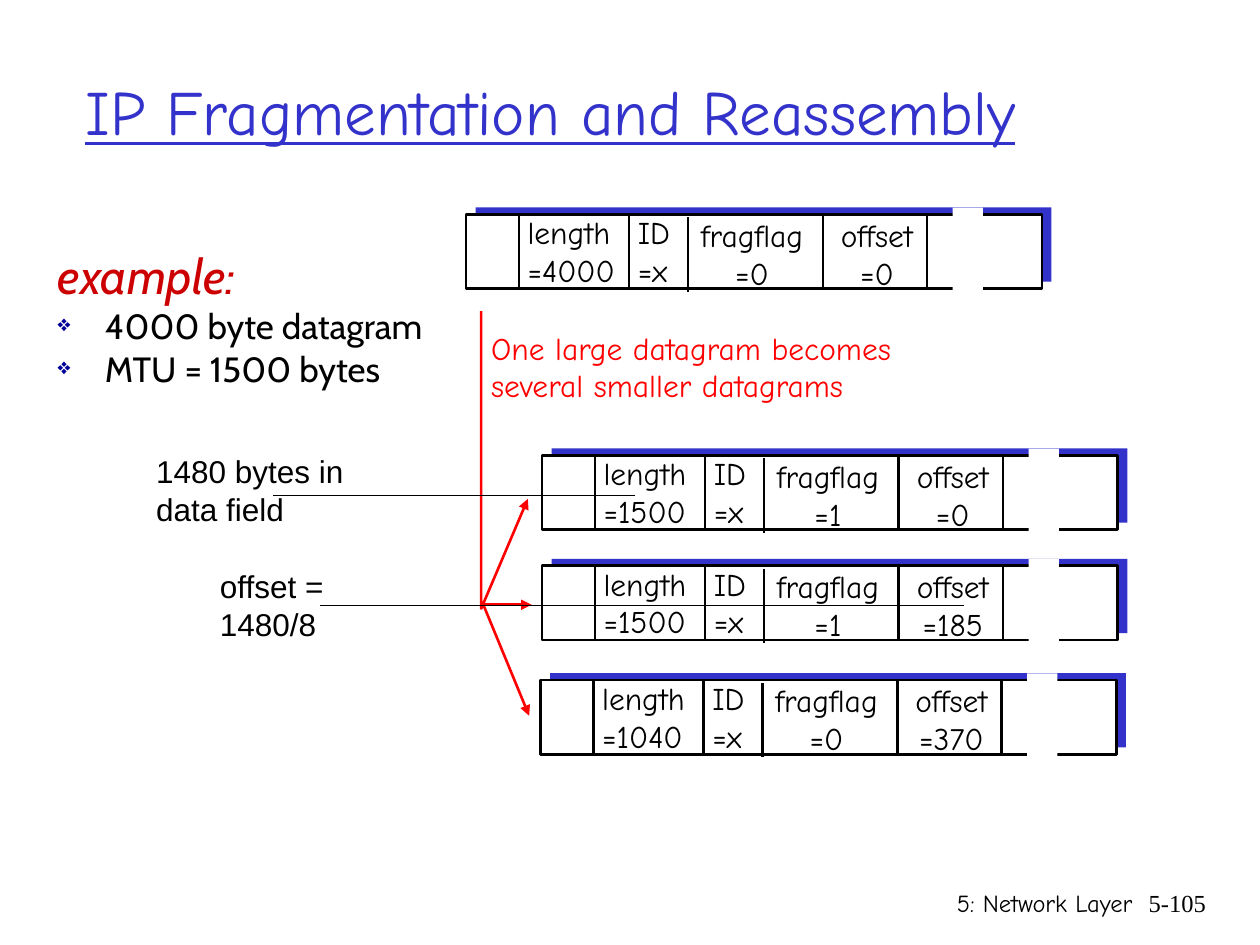
"""Build the IP fragmentation and reassembly slide."""
from lxml.etree import SubElement
from pptx import Presentation
from pptx.dml.color import RGBColor
from pptx.enum.shapes import MSO_CONNECTOR as CONNECTOR, MSO_SHAPE as SHAPE
from pptx.enum.text import MSO_ANCHOR as ANCHOR, MSO_AUTO_SIZE as AUTO_SIZE, PP_ALIGN as ALIGN
from pptx.oxml.ns import qn
from pptx.util import Pt

BLUE = RGBColor(0x33, 0x33, 0xCC)
BLACK = RGBColor(0, 0, 0)
WHITE = RGBColor(0xFF, 0xFF, 0xFF)
RED = RGBColor(0xFF, 0, 0)
DARK_RED = RGBColor(0xCC, 0, 0)
HAND, SANS, BODY, SERIF = "Comic Neue", "Arial", "Cabin", "Times New Roman"


def write_text(shapes, paragraphs, left, top, width, height, size=18, font=HAND, color=BLACK,
               align=ALIGN.LEFT, anchor=ANCHOR.TOP, wrap=False, underline=None):
    box = shapes.add_textbox(Pt(left), Pt(top), Pt(width), Pt(height))
    frame = box.text_frame
    frame.word_wrap = wrap
    frame.auto_size = AUTO_SIZE.NONE if wrap else AUTO_SIZE.SHAPE_TO_FIT_TEXT
    frame.vertical_anchor = anchor
    for index, text in enumerate(paragraphs):
        paragraph = frame.paragraphs[0] if index == 0 else frame.add_paragraph()
        paragraph.text = text
        paragraph.alignment = align
        for run in paragraph.runs:
            run.font.size = Pt(size)
            run.font.name = font
            run.font.color.rgb = color
            run.font.underline = underline
    return frame


def style_line(stroke, color=BLACK, width=1.5, arrow=False):
    stroke.line.color.rgb = color
    stroke.line.width = Pt(width)
    properties = stroke.element.spPr
    if arrow:
        SubElement(properties.find(qn("a:ln")), qn("a:tailEnd"), type="triangle")
    SubElement(properties, qn("a:effectLst"))


presentation = Presentation()
presentation.slide_width, presentation.slide_height = Pt(720), Pt(540)
slide = presentation.slides.add_slide(presentation.slide_layouts[6])
canvas = slide.shapes

write_text(canvas, ["IP Fragmentation and Reassembly"], 41.76, 18, 612, 90, size=36,
           color=BLUE, anchor=ANCHOR.MIDDLE, wrap=True, underline=True)

datagrams = [
    (266.4, 122.5, "=4000", "=0", "=0"),
    (309.8, 260.2, "=1500", "=1", "=0"),
    (309.8, 323.3, "=1500", "=1", "=185"),
    (309, 388.6, "=1040", "=0", "=370"),
]
for left, top, length, fragflag, offset in datagrams:
    header = canvas.add_group_shape().shapes
    panels = [(5.4, -4, 329, 42.5, BLUE), (0, 0, 329, 42.5, WHITE), (278, -3.8, 17.3, 47.5, WHITE)]
    for index, (dx, dy, width, height, fill) in enumerate(panels):
        panel = header.add_shape(SHAPE.RECTANGLE, Pt(left + dx), Pt(top + dy), Pt(width), Pt(height))
        panel.fill.solid()
        panel.fill.fore_color.rgb = fill
        panel.shadow.inherit = False
        if index == 1:
            panel.line.color.rgb = BLACK
            panel.line.width = Pt(1.5)
            for dx, drop in [(30.2, 0), (93, 0), (126.8, 1.6), (203.8, 0), (263.4, 0)]:
                divider = header.add_connector(CONNECTOR.STRAIGHT, Pt(left + dx), Pt(top + drop),
                                               Pt(left + dx), Pt(top + drop + 42.5))
                style_line(divider)
        else:
            panel.line.fill.background()
    fields = [
        ("length", length, 28, -4.2, 67.4, ALIGN.LEFT),
        ("ID", "=x", 91, -4.2, 37.4, ALIGN.LEFT),
        ("fragflag", fragflag, 121.6, -2.7, 83.5, ALIGN.CENTER),
        ("offset", offset, 200.2, -2.7, 69, ALIGN.CENTER),
    ]
    for name, value, dx, dy, width, align in fields:
        write_text(header, [name, value], left + dx, top + dy, width, 50.4, align=align)

outline = canvas.build_freeform(Pt(275), Pt(177.8))
outline.add_line_segments([(Pt(275), Pt(347.8)), (Pt(301.7), Pt(285.1))], close=False)
trunk = outline.convert_to_shape()
trunk.fill.background()
style_line(trunk, RED, arrow=True)
for x1, y1, x2, y2 in [(275, 345.6, 303.8, 345.6), (276.5, 346.3, 302.4, 409)]:
    branch = canvas.add_connector(CONNECTOR.STRAIGHT, Pt(x1), Pt(y1), Pt(x2), Pt(y2))
    style_line(branch, RED, arrow=True)

write_text(canvas, ["One large datagram becomes", "several smaller datagrams"],
           273.6, 184.3, 257, 50.4, color=RED)

example = write_text(canvas, ["example:", "4000 byte datagram", "MTU = 1500 bytes"],
                     25.92, 141.84, 223.2, 132.5, size=20, font=BODY, wrap=True)
for index, paragraph in enumerate(example.paragraphs):
    paragraph.line_spacing = 0.85
    indent = paragraph._p.get_or_add_pPr()
    indent.set("marL", str(Pt(27)))
    indent.set("indent", str(Pt(-27)))
    if index:
        paragraph.space_before = Pt(4)
        bullet_color = SubElement(indent, qn("a:buClr"))
        SubElement(bullet_color, qn("a:srgbClr"), val="000099")
        SubElement(indent, qn("a:buSzPct"), val="65000")
        SubElement(indent, qn("a:buChar"), char="❖")
heading = example.paragraphs[0].runs[0].font
heading.size = Pt(28)
heading.italic = True
heading.color.rgb = DARK_RED

write_text(canvas, ["1480 bytes in\ndata field"], 82.1, 254.9, 126.7, 50.4, font=SANS)
write_text(canvas, ["offset =", "1480/8"], 118.6, 320.6, 74.2, 50.4, font=SANS)
for x1, x2, y in [(156.2, 362.9, 283), (550.8, 182.9, 346)]:
    pointer = canvas.add_connector(CONNECTOR.STRAIGHT, Pt(x1), Pt(y), Pt(x2), Pt(y))
    style_line(pointer, width=0.75)

write_text(canvas, ["5: Network Layer"], 426.2, 504, 228.2, 36, size=14, align=ALIGN.RIGHT, wrap=True)
write_text(canvas, ["5-105"], 643, 504, 53.3, 36, size=14, font=SERIF, align=ALIGN.RIGHT, wrap=True)

presentation.save("out.pptx")
